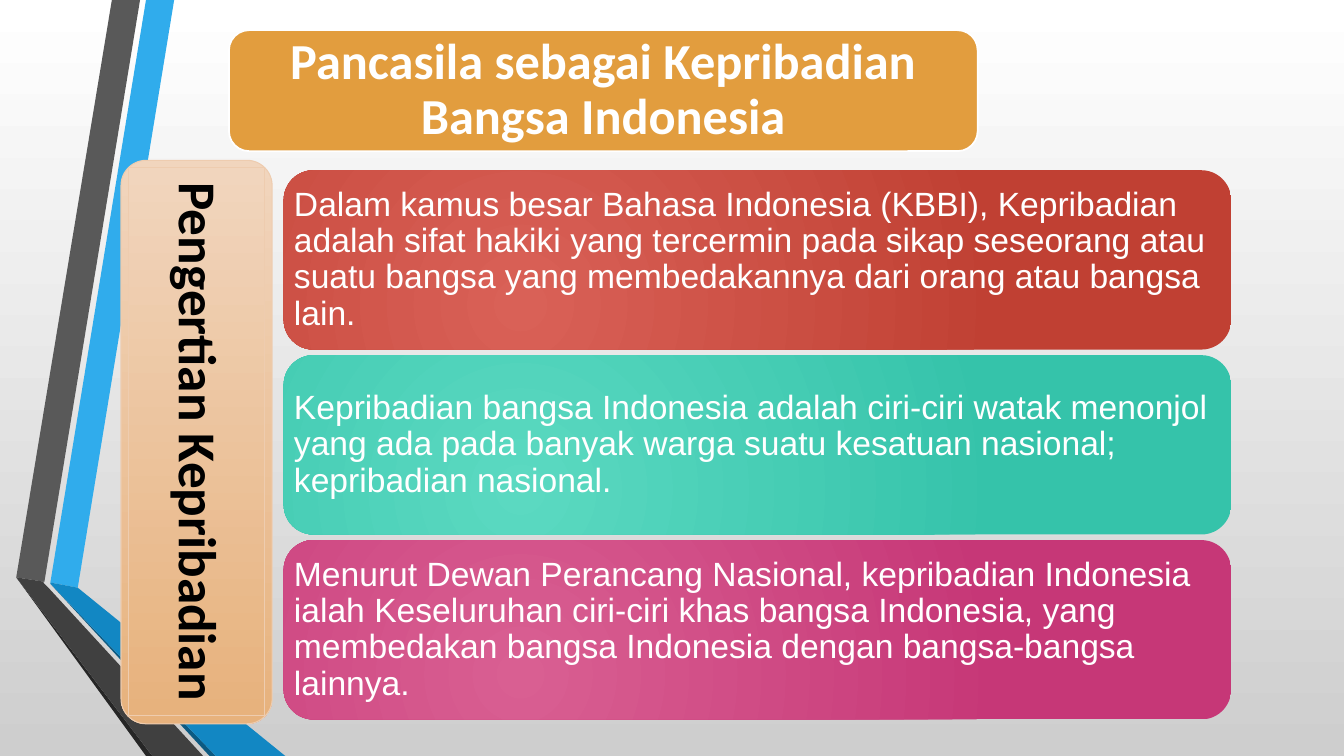
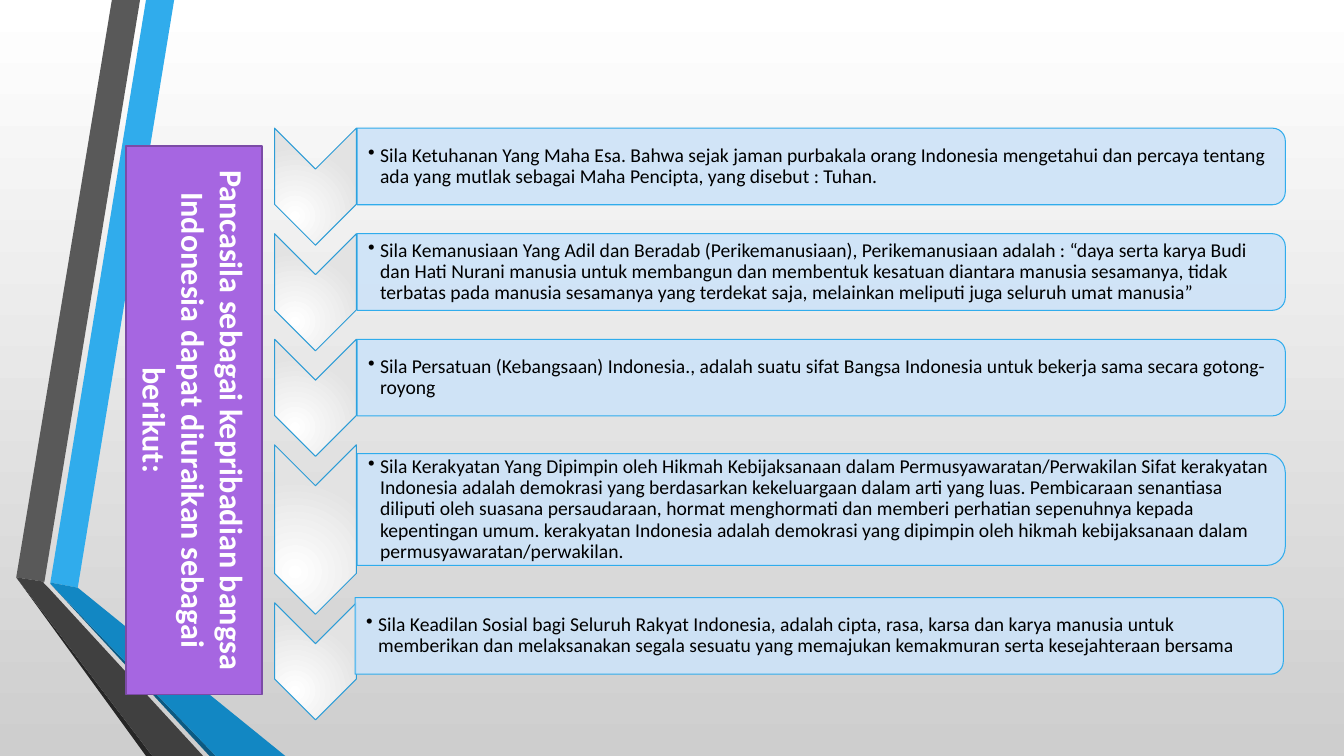
from dataclasses import dataclass
from typing import NamedTuple, Optional, Union

from lxml.etree import SubElement
from pptx import Presentation
from pptx.dml.color import RGBColor
from pptx.dml.fill import FillFormat
from pptx.enum.shapes import MSO_SHAPE as Preset
from pptx.enum.text import MSO_ANCHOR as Anchor, PP_ALIGN as Align
from pptx.oxml.ns import qn
from pptx.presentation import Presentation as Deck
from pptx.shapes.autoshape import Shape
from pptx.slide import Slide, SlideLayout
from pptx.util import Cm, Pt


class Gradient(NamedTuple):
    start: str
    end: str
    radial: bool = False


class Outline(NamedTuple):
    color: str
    points: float


class Box(NamedTuple):
    left: float
    top: float
    width: float
    height: float

    def upright(self) -> "Box":
        shift = (self.width - self.height) / 2
        return Box(self.left + shift, self.top - shift, self.height, self.width)


class TextStyle(NamedTuple):
    font: str
    size: float
    color: str
    bold: bool = False
    align: Align = Align.LEFT
    line_spacing: Optional[float] = 0.9


class Ribbon(NamedTuple):
    color: str
    points: tuple[tuple[float, float], ...]


class Card(NamedTuple):
    text: str
    fill: Gradient


class Principle(NamedTuple):
    text: str
    chevron_height: float = 2.95
    bar_height: float = 1.93
    bar_shift: tuple[float, float] = (0, 0)


Fill = Union[str, Gradient]
Insets = tuple[float, float, float, float]


@dataclass(frozen=True)
class Theme:
    background: Gradient = Gradient("FFFFFF", "CECECE")
    title_fill: str = "E29D3E"
    title_line: Outline = Outline("FFFFFF", 1.25)
    tan: Gradient = Gradient("F1D5BD", "E7B27D")
    tan_line: Outline = Outline("EECCAF", 0.75)
    red: Gradient = Gradient("D96157", "C04033", True)
    teal: Gradient = Gradient("5BD9C1", "35C3AA", True)
    pink: Gradient = Gradient("D95F92", "C63777", True)
    purple: str = "A666E1"
    purple_line: Outline = Outline("7B4BA6", 1.25)
    chevron: Gradient = Gradient("FFFFFF", "E3E3E3", True)
    chevron_line: Outline = Outline("2C9CD6", 0.75)
    bar: str = "CDE3F8"
    bar_opacity: int = 90
    bar_line: Outline = Outline("30ACEC", 0.75)
    title: TextStyle = TextStyle("Calibri", 36, "FFFFFF", True, Align.CENTER)
    card: TextStyle = TextStyle("Arial", 24, "FFFFFF")
    tan_label: TextStyle = TextStyle("Calibri", 38, "000000", True, Align.CENTER)
    purple_label: TextStyle = TextStyle("Calibri", 23, "FFFFFF", True, Align.CENTER, None)
    principle: TextStyle = TextStyle("Calibri", 14, "000000")


THEME = Theme()
SLIDE_WIDTH, SLIDE_HEIGHT = 33.87, 19.05
PANEL_INSETS: Insets = (0.2, 0.2, 0.2, 0.2)

RIBBONS = (
    Ribbon("30ACEC", ((1.27, 14.68), (1.96, 14.81), (4.39, 0), (3.68, 0))),
    Ribbon("595959", ((3.53, 0), (2.82, 0), (0.41, 14.55), (1.12, 14.66))),
    Ribbon("262626", ((0.41, 14.55), (3.68, SLIDE_HEIGHT), (3.84, SLIDE_HEIGHT))),
    Ribbon("0C5A82", ((1.27, 14.71), (5.28, SLIDE_HEIGHT), (5.44, SLIDE_HEIGHT))),
    Ribbon("1287C3", ((1.27, 14.71), (5.44, SLIDE_HEIGHT), (7.19, SLIDE_HEIGHT),
                      (1.96, 14.81), (1.27, 14.68))),
    Ribbon("404040", ((5.12, SLIDE_HEIGHT), (1.22, 14.81), (1.09, 14.68),
                      (1.12, 14.66), (0.41, 14.55), (3.84, SLIDE_HEIGHT))),
)

CARDS = (
    Card("Dalam kamus besar Bahasa Indonesia (KBBI), Kepribadian adalah sifat hakiki "
         "yang tercermin pada sikap seseorang atau suatu bangsa yang membedakannya "
         "dari orang atau bangsa lain.", THEME.red),
    Card("Kepribadian bangsa Indonesia adalah ciri-ciri watak menonjol yang ada pada "
         "banyak warga suatu kesatuan nasional; kepribadian nasional.", THEME.teal),
    Card("Menurut Dewan Perancang Nasional, kepribadian Indonesia ialah Keseluruhan "
         "ciri-ciri khas bangsa Indonesia, yang membedakan bangsa Indonesia dengan "
         "bangsa-bangsa lainnya.", THEME.pink),
)

PRINCIPLES = (
    Principle("Sila Ketuhanan Yang Maha Esa. Bahwa sejak jaman purbakala orang "
              "Indonesia mengetahui dan percaya tentang ada yang mutlak sebagai Maha "
              "Pencipta, yang disebut : Tuhan."),
    Principle("Sila Kemanusiaan Yang Adil dan Beradab (Perikemanusiaan), "
              "Perikemanusiaan adalah : “daya serta karya Budi dan Hati Nurani manusia "
              "untuk membangun dan membentuk kesatuan diantara manusia sesamanya, tidak "
              "terbatas pada manusia sesamanya yang terdekat saja, melainkan meliputi "
              "juga seluruh umat manusia”"),
    Principle("Sila Persatuan (Kebangsaan) Indonesia., adalah suatu sifat Bangsa "
              "Indonesia untuk bekerja sama secara gotong-royong"),
    Principle("Sila Kerakyatan Yang Dipimpin oleh Hikmah Kebijaksanaan dalam "
              "Permusyawaratan/Perwakilan Sifat kerakyatan Indonesia adalah demokrasi "
              "yang berdasarkan kekeluargaan dalam arti yang luas. Pembicaraan "
              "senantiasa diliputi oleh suasana persaudaraan, hormat menghormati dan "
              "memberi perhatian sepenuhnya kepada kepentingan umum. kerakyatan "
              "Indonesia adalah demokrasi yang dipimpin oleh hikmah kebijaksanaan dalam "
              "permusyawaratan/perwakilan.", 4.27, 2.82, (0, 0.22)),
    Principle("Sila Keadilan Sosial bagi Seluruh Rakyat Indonesia, adalah cipta, rasa, "
              "karsa dan karya manusia untuk memberikan dan melaksanakan segala sesuatu "
              "yang memajukan kemakmuran serta kesejahteraan bersama",
              bar_shift=(-0.05, -0.13)),
)


def apply_gradient(fill: FillFormat, gradient: Gradient) -> None:
    fill.gradient()
    fill.gradient_angle = 270
    for stop, color in zip(fill.gradient_stops, (gradient.start, gradient.end)):
        stop.color.rgb = RGBColor.from_string(color)


def make_radial(shape: Shape) -> None:
    gradient = shape.element.spPr.find(qn("a:gradFill"))
    gradient.remove(gradient.find(qn("a:lin")))
    circle = SubElement(gradient, qn("a:path"), {"path": "circle"})
    SubElement(circle, qn("a:fillToRect"),
               {"l": "50000", "t": "100000", "r": "100000", "b": "50000"})


def paint(shape: Shape, fill: Fill, outline: Optional[Outline] = None) -> None:
    shape.shadow.inherit = False
    if isinstance(fill, Gradient):
        apply_gradient(shape.fill, fill)
        if fill.radial:
            make_radial(shape)
    else:
        shape.fill.solid()
        shape.fill.fore_color.rgb = RGBColor.from_string(fill)
    if outline is None:
        shape.line.fill.background()
    else:
        shape.line.color.rgb = RGBColor.from_string(outline.color)
        shape.line.width = Pt(outline.points)


def add_preset(slide: Slide, preset: Preset, box: Box, fill: Fill,
               outline: Optional[Outline] = None, rotation: float = 0) -> Shape:
    shape = slide.shapes.add_shape(preset, *map(Cm, box))
    shape.rotation = rotation
    paint(shape, fill, outline)
    return shape


def set_text(shape: Shape, text: str, style: TextStyle, insets: Insets,
             vertical: bool = False, bullet: bool = False) -> None:
    frame = shape.text_frame
    frame.text = text
    frame.word_wrap = True
    frame.vertical_anchor = Anchor.MIDDLE
    (frame.margin_left, frame.margin_top,
     frame.margin_right, frame.margin_bottom) = map(Cm, insets)
    if vertical:
        shape.element.txBody.find(qn("a:bodyPr")).set("vert", "vert")
    paragraph = frame.paragraphs[0]
    paragraph.alignment = style.align
    paragraph.line_spacing = style.line_spacing
    if bullet:
        properties = paragraph._p.get_or_add_pPr()
        properties.set("marL", str(Cm(0.3)))
        properties.set("indent", str(Cm(-0.3)))
        SubElement(properties, qn("a:buChar"), {"char": "•"})
    font = paragraph.runs[0].font
    font.name = style.font
    font.size = Pt(style.size)
    font.bold = style.bold
    font.color.rgb = RGBColor.from_string(style.color)


def add_ribbon(slide: Slide, ribbon: Ribbon) -> Shape:
    start, *others = [(Cm(x), Cm(y)) for x, y in ribbon.points]
    builder = slide.shapes.build_freeform(*start)
    builder.add_line_segments(others, close=True)
    shape = builder.convert_to_shape()
    paint(shape, ribbon.color)
    return shape


def decorate_layout(layout: SlideLayout, slide: Slide) -> None:
    for placeholder in list(layout.placeholders):
        layout.shapes.element.remove(placeholder.element)
    apply_gradient(layout.background.fill, THEME.background)
    for ribbon in RIBBONS:
        layout.shapes.element.append(add_ribbon(slide, ribbon).element)


def build_definition_slide(slide: Slide) -> None:
    title = add_preset(slide, Preset.ROUNDED_RECTANGLE, Box(5.77, 0.76, 18.87, 3.05),
                       THEME.title_fill, THEME.title_line)
    set_text(title, "Pancasila sebagai Kepribadian Bangsa Indonesia", THEME.title,
             (0.23, 0.23, 0.23, 0.23))
    for index, card in enumerate(CARDS):
        shape = add_preset(slide, Preset.ROUNDED_RECTANGLE,
                           Box(7.15, 4.29 + index * 4.66, 23.88, 4.52), card.fill)
        set_text(shape, card.text, THEME.card, (0.04, 0.04, 0.04, 0.04))
    add_preset(slide, Preset.ROUNDED_RECTANGLE, Box(3.05, 4.04, 3.81, 14.2),
               THEME.tan, THEME.tan_line)
    label = add_preset(slide, Preset.RECTANGLE, Box(3.23, 4.22, 3.43, 13.82),
                       THEME.tan, THEME.tan_line)
    set_text(label, "Pengertian Kepribadian", THEME.tan_label, PANEL_INSETS, vertical=True)


def add_principle(slide: Slide, principle: Principle, top: float) -> None:
    chevron = Box(6.92, top, 2.06, principle.chevron_height)
    add_preset(slide, Preset.CHEVRON, chevron.upright(), THEME.chevron,
               THEME.chevron_line, 90)
    shift_x, shift_y = principle.bar_shift
    bar = Box(9 + shift_x, top + shift_y, 23.39, principle.bar_height)
    shape = add_preset(slide, Preset.ROUND_2_SAME_RECTANGLE, bar.upright(),
                       THEME.bar, THEME.bar_line, 90)
    color = shape.element.spPr.find(qn("a:solidFill"))[0]
    SubElement(color, qn("a:alpha"), {"val": str(THEME.bar_opacity * 1000)})
    text_box = slide.shapes.add_textbox(Cm(bar.left), Cm(bar.top + 0.1),
                                        Cm(bar.width - 0.1), Cm(bar.height - 0.2))
    set_text(text_box, principle.text, THEME.principle, (0.28, 0.03, 0.03, 0.03),
             bullet=True)


def build_principles_slide(slide: Slide) -> None:
    label = add_preset(slide, Preset.RECTANGLE, Box(3.18, 3.68, 3.43, 13.82),
                       THEME.purple, THEME.purple_line)
    set_text(label, "Pancasila sebagai kepribadian bangsa Indonesia dapat diuraikan "
             "sebagai berikut:", THEME.purple_label, PANEL_INSETS, vertical=True)
    top, overlap = 3.23, 0.29
    for principle in PRINCIPLES:
        add_principle(slide, principle, top)
        top += principle.chevron_height - overlap


def main() -> None:
    presentation: Deck = Presentation()
    presentation.slide_width = Cm(SLIDE_WIDTH)
    presentation.slide_height = Cm(SLIDE_HEIGHT)
    layout = presentation.slide_layouts[6]
    definition, principles = (presentation.slides.add_slide(layout) for _ in range(2))
    decorate_layout(layout, definition)
    build_definition_slide(definition)
    build_principles_slide(principles)
    presentation.save("out.pptx")


if __name__ == "__main__":
    main()
